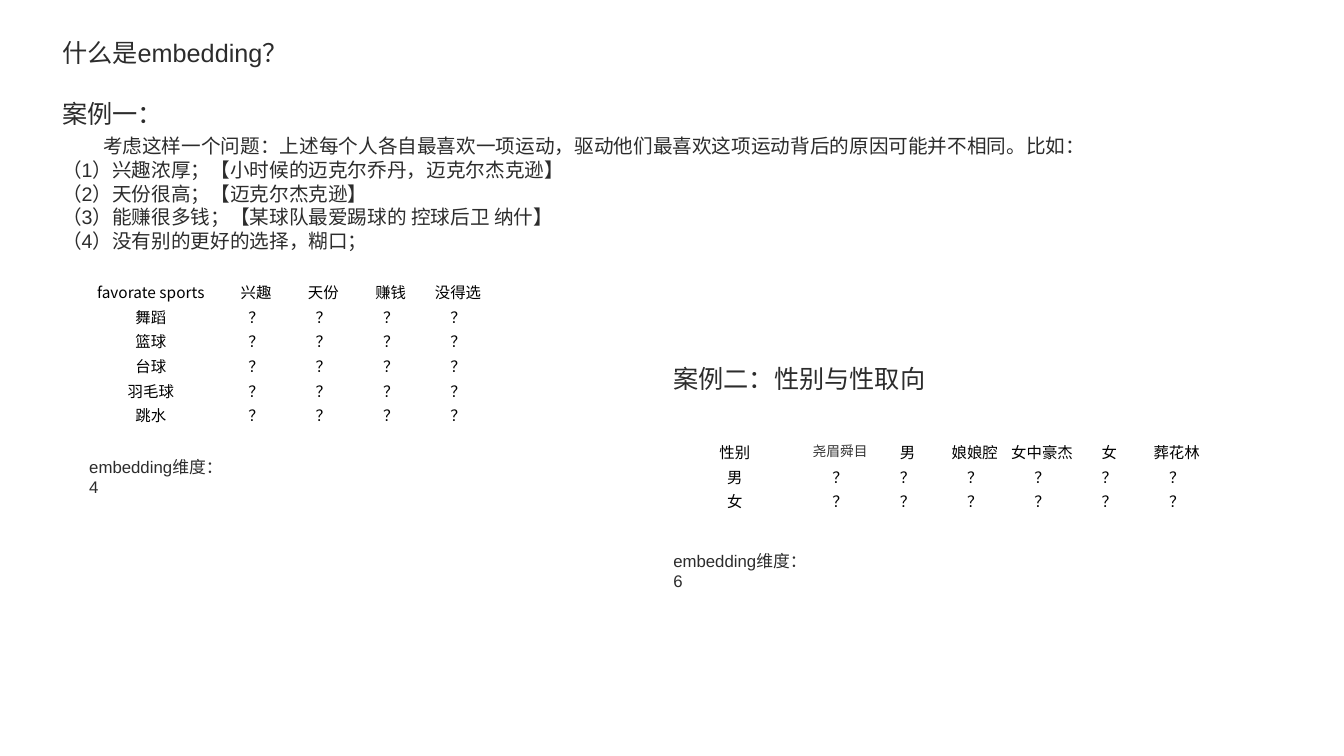
from dataclasses import dataclass

from lxml import etree
from pptx import Presentation, util as u
from pptx.dml.color import RGBColor
from pptx.enum import text
from pptx.oxml import ns


@dataclass(frozen=True)
class Theme:
    latin: str = "Arial"
    hans: str = "Noto Sans CJK SC"
    ink: str = "2C2C2C"
    black: str = "000000"
    gray: str = "333333"
    head: float = 18
    body: float = 14
    note: float = 12
    cell: float = 11
    small: float = 9.8


class Page:
    def __init__(self, deck, theme):
        self.theme = theme
        self.wide, self.high = deck.slide_width, deck.slide_height
        self.slide = deck.slides.add_slide(deck.slide_layouts[1])

    def across(self, share):
        return int(self.wide * share / 100)

    def down(self, share):
        return int(self.high * share / 100)

    def place(self, left, top, width, height):
        return self.across(left), self.down(top), self.across(width), self.down(height)

    def style(self, para, size, color, font=None, align=text.PP_ALIGN.LEFT):
        para.alignment = align
        para.space_before = u.Pt(0)
        para.font.size = u.Pt(size)
        para.font.name = font or self.theme.latin
        para.font.color.rgb = RGBColor.from_string(color)

    def frame(self, shape, lines):
        frame = shape.text_frame
        frame.text = "\n".join(lines)
        frame.word_wrap = True
        frame.auto_size = text.MSO_AUTO_SIZE.SHAPE_TO_FIT_TEXT
        frame.vertical_anchor = text.MSO_ANCHOR.TOP
        return frame.paragraphs

    def move(self, shape, box):
        shape.left, shape.top, shape.width, shape.height = self.place(*box)

    def title(self, words, box):
        shape = self.slide.shapes.title
        self.move(shape, box)
        self.style(self.frame(shape, [words])[0], self.theme.head, self.theme.ink)

    def body(self, lines, box, indent):
        shape = self.slide.placeholders[1]
        self.move(shape, box)
        paras = self.frame(shape, lines)
        for row, para in enumerate(paras):
            props = para._p.get_or_add_pPr()
            props.set("marL", "0")
            props.set("indent", str(self.across(indent) if row == 1 else 0))
            etree.SubElement(props, ns.qn("a:buNone"))
            size = self.theme.body if row else self.theme.head
            self.style(para, size, self.theme.ink)
        paras[1].space_before = u.Pt(4)
        paras[1].space_after = u.Pt(0.5)

    def label(self, words, box, size):
        shape = self.slide.shapes.add_textbox(*self.place(*box))
        self.style(self.frame(shape, [words])[0], size, self.theme.ink)

    def table(self, heads, names, left, top, first, special):
        wides = [10.65] + [5.01] * (len(heads) - 1)
        highs = [first] + [2.59] * len(names)
        box = self.place(left, top, sum(wides), sum(highs))
        grid = self.slide.shapes.add_table(len(highs), len(wides), *box).table
        grid.first_row = grid.horz_banding = False
        for col, wide in zip(grid.columns, wides):
            col.width = self.across(wide)
        for row, high in zip(grid.rows, highs):
            row.height = self.down(high)
        rows = [heads] + [[name] + ["？"] * (len(heads) - 1) for name in names]
        for row, words in enumerate(rows):
            for col, word in enumerate(words):
                self.cell(grid.cell(row, col), word, **special.get(word, {}))

    def cell(self, cell, word, size=None, color=None, font=None):
        cell.fill.background()
        cell.margin_left = cell.margin_right = cell.margin_top = u.Inches(0.01)
        cell.margin_bottom = u.Inches(0.05)
        cell.vertical_anchor = text.MSO_ANCHOR.MIDDLE
        cell.text = word
        self.style(cell.text_frame.paragraphs[0], size or self.theme.cell,
                   color or self.theme.black, font, text.PP_ALIGN.CENTER)


def main():
    deck = Presentation()
    deck.slide_width, deck.slide_height = u.Inches(13.33), u.Inches(7.5)
    theme = Theme()
    page = Page(deck, theme)
    page.title("什么是embedding？", (3.87, 4.27, 92.12, 5.33))
    page.body([
        "案例一：",
        "考虑这样一个问题：上述每个人各自最喜欢一项运动，驱动他们最喜欢这项运动背后的原因可能并不相同。比如：",
        "（1）兴趣浓厚；【小时候的迈克尔乔丹，迈克尔杰克逊】",
        "（2）天份很高；【迈克尔杰克逊】",
        "（3）能赚很多钱；【某球队最爱踢球的 控球后卫 纳什】",
        "（4）没有别的更好的选择，糊口；",
    ], (3.87, 12.3, 92.12, 22), 3.05)
    page.table(["favorate sports", "兴趣", "天份", "赚钱", "没得选"],
               ["舞蹈", "篮球", "台球", "羽毛球", "跳水"], 5.9, 36.93, 3.33,
               {"favorate sports": {"font": theme.hans}})
    page.label("案例二：性别与性取向", (49.36, 47.4, 20.26, 5.33), theme.head)
    page.table(["性别", "尧眉舜目", "男", "娘娘腔", "女中豪杰", "女", "葬花林"],
               ["男", "女"], 49.36, 58.13, 2.59,
               {"尧眉舜目": {"size": theme.small, "color": theme.gray}})
    for count, left, top in ((6, 49.36, 72.13), (4, 5.9, 59.73)):
        page.label(f"embedding维度：{count}", (left, top, 12.08, 4), theme.note)
    deck.save("out.pptx")


if __name__ == "__main__":
    main()
